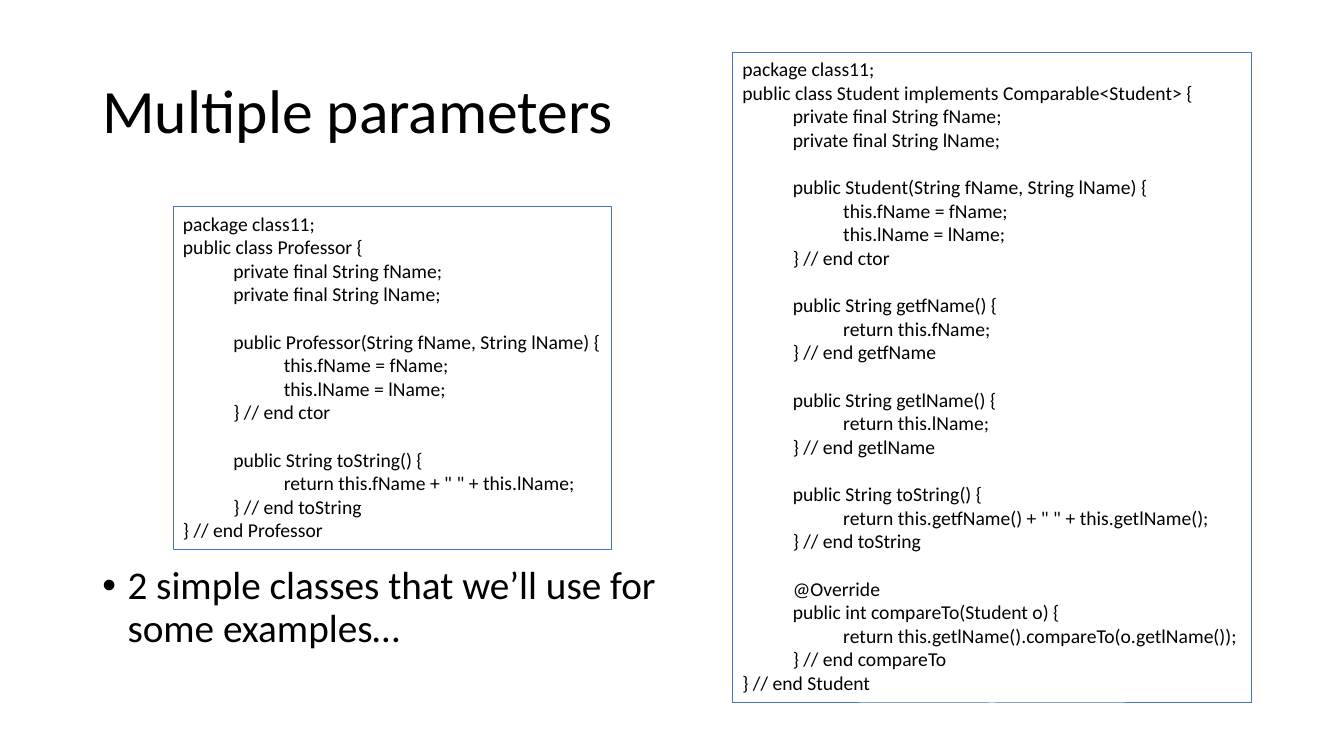
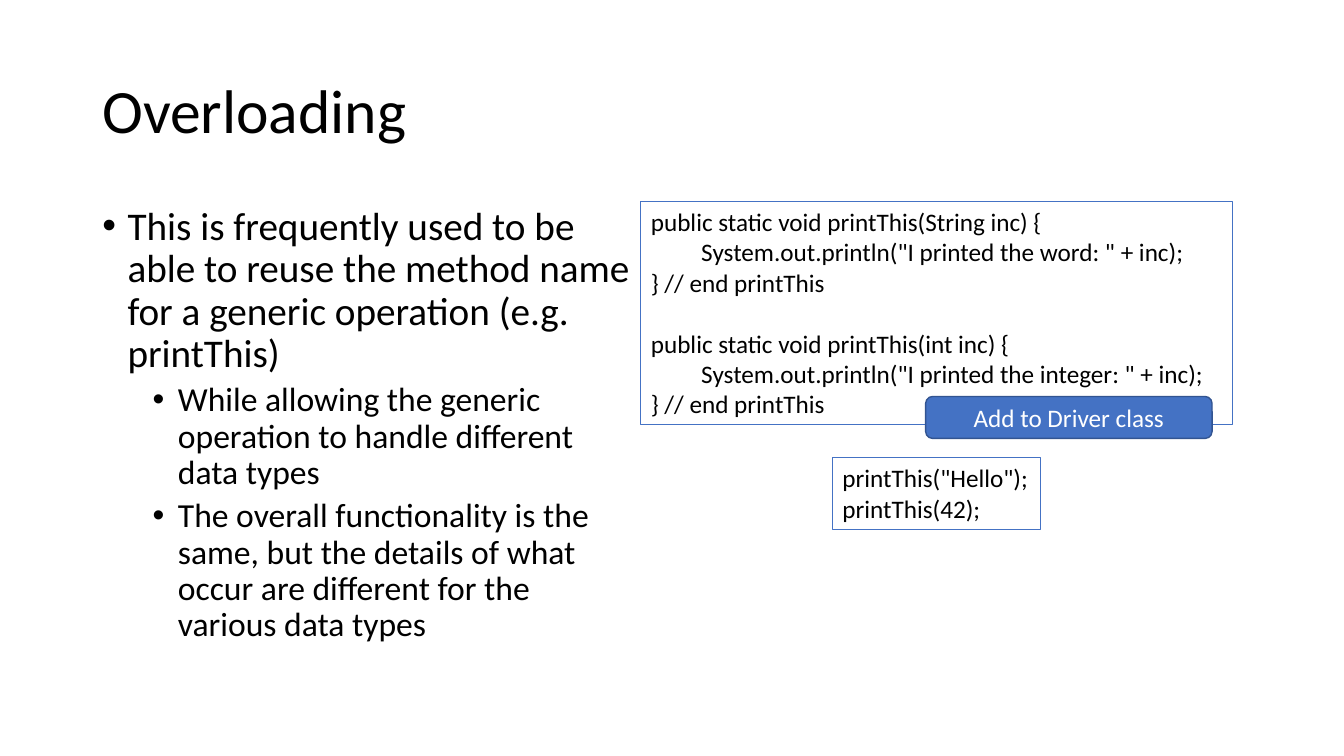
from dataclasses import dataclass

from lxml.etree import SubElement
from pptx import Presentation
from pptx.dml.color import RGBColor
from pptx.enum.shapes import MSO_SHAPE as Preset
from pptx.enum.text import MSO_ANCHOR as Anchor, MSO_AUTO_SIZE as Fit, PP_ALIGN as Align
from pptx.oxml.ns import qn
from pptx.util import Emu, Inches, Pt

# Shared look: a grid of 160 columns and 90 rows covers the slide
WIDTH, HEIGHT = Inches(13.333), Inches(7.5)
COLUMNS, ROWS = 160, 90
COLORS = {"text": "000000", "accent": "4472C4", "edge": "325491", "light": "FFFFFF"}
FONT = "Calibri"
LINE_HEIGHT = 1.22
TAB = Inches(0.5)
HANG = Inches(0.25)
BULLET_SIZES = (28, 24)
BULLET_GAPS = (10, 5)


@dataclass(frozen=True)
class Area:
    col: float
    row: float
    cols: float
    rows: float

    def box(self) -> tuple:
        x, y = WIDTH / COLUMNS, HEIGHT / ROWS
        return tuple(Emu(round(v)) for v in
                     (self.col * x, self.row * y, self.cols * x, self.rows * y))


@dataclass(frozen=True)
class Code:
    area: Area
    size: int
    source: str
    wrap: bool = True


@dataclass(frozen=True)
class Bullet:
    text: str
    level: int = 0


@dataclass(frozen=True)
class Page:
    title: str
    body: Area
    bullets: tuple
    codes: tuple
    badge: str = ""


TITLE_AREA = Area(11, 4.8, 138, 17.4)
BADGE_AREA = Area(110.2, 47.2, 34.1, 5)

# Code listings: four spaces make one level, an empty line makes a gap
STUDENT = """package class11;
public class Student implements Comparable<Student> {
    private final String fName;
    private final String lName;

    public Student(String fName, String lName) {
        this.fName = fName;
        this.lName = lName;
    } // end ctor

    public String getfName() {
        return this.fName;
    } // end getfName

    public String getlName() {
        return this.lName;
    } // end getlName

    public String toString() {
        return this.getfName() + " " + this.getlName();
    } // end toString

    @Override
    public int compareTo(Student o) {
        return this.getlName().compareTo(o.getlName());
    } // end compareTo
} // end Student"""

PROFESSOR = """package class11;
public class Professor {
    private final String fName;
    private final String lName;

    public Professor(String fName, String lName) {
        this.fName = fName;
        this.lName = lName;
    } // end ctor

    public String toString() {
        return this.fName + " " + this.lName;
    } // end toString
} // end Professor"""

OVERLOADS = """public static void printThis(String inc) {
    System.out.println("I printed the word: " + inc);
} // end printThis

public static void printThis(int inc) {
    System.out.println("I printed the integer: " + inc);
} // end printThis"""

CALLS = """printThis("Hello");
printThis(42);"""

PAGES = (
    Page("Multiple parameters", Area(11, 66.8, 75.4, 14.3),
         (Bullet("2 simple classes that we’ll use for some examples…"),),
         (Code(Area(87.2, 6.2, 61.8, 77.5), 14, STUDENT),
          Code(Area(20.6, 24.6, 52.2, 40.8), 14, PROFESSOR))),
    Page("Overloading", Area(11, 24, 65.3, 57.1),
         (Bullet("This is frequently used to be able to reuse the method name "
                 "for a generic operation (e.g. printThis)"),
          Bullet("While allowing the generic operation to handle different data types", 1),
          Bullet("The overall functionality is the same, but the details of what "
                 "occur are different for the various data types", 1)),
         (Code(Area(76.3, 24, 70.4, 26.6), 18, OVERLOADS),
          Code(Area(99.1, 54.5, 24.8, 8.5), 18, CALLS, wrap=False)),
         "Add to Driver class"),
)


def assign(target, values: dict) -> None:
    for name, value in values.items():
        setattr(target, name, value)


def color(name: str) -> RGBColor:
    return RGBColor.from_string(COLORS[name])


def write(frame, index: int, text: str, size: int, ink: str = "text", **layout):
    """Fill one paragraph; the first one already exists in the frame."""
    paragraph = frame.add_paragraph() if index else frame.paragraphs[0]
    assign(paragraph, {"alignment": Align.LEFT, **layout})
    run = paragraph.add_run()
    run.text = text
    assign(run.font, {"name": FONT, "size": Pt(size)})
    run.font.color.rgb = color(ink)
    return paragraph


def indent(paragraph, left: int, first: int) -> None:
    props = paragraph._p.get_or_add_pPr()
    props.set("marL", str(int(left)))
    props.set("indent", str(int(first)))


def add_panel(slide, preset, area: Area, edge: str, weight: float, fill: str = ""):
    panel = slide.shapes.add_shape(preset, *area.box())
    panel.shadow.inherit = False
    if fill:
        panel.fill.solid()
        panel.fill.fore_color.rgb = color(fill)
    else:
        panel.fill.background()
    panel.line.color.rgb = color(edge)
    panel.line.width = Pt(weight)
    return panel.text_frame


def add_title(slide, title: str) -> None:
    frame = slide.shapes.add_textbox(*TITLE_AREA.box()).text_frame
    assign(frame, {"word_wrap": True, "vertical_anchor": Anchor.MIDDLE})
    write(frame, 0, title, 44, line_spacing=0.9)


def add_bullets(slide, area: Area, bullets: tuple) -> None:
    frame = slide.shapes.add_textbox(*area.box()).text_frame
    frame.word_wrap = True
    for index, bullet in enumerate(bullets):
        level = bullet.level
        paragraph = write(frame, index, bullet.text, BULLET_SIZES[level], level=level,
                          line_spacing=0.9, space_before=Pt(BULLET_GAPS[level]))
        indent(paragraph, HANG + level * TAB, -HANG)
        props = paragraph._p.get_or_add_pPr()
        SubElement(props, qn("a:buFont")).set("typeface", "Arial")
        SubElement(props, qn("a:buChar")).set("char", "•")


def add_code(slide, code: Code) -> None:
    frame = add_panel(slide, Preset.RECTANGLE, code.area, "accent", 0.75)
    assign(frame, {"word_wrap": code.wrap, "vertical_anchor": Anchor.TOP,
                   "auto_size": Fit.SHAPE_TO_FIT_TEXT})
    index = gap = 0
    for line in code.source.splitlines():
        text = line.lstrip()
        if not text:
            gap = code.size * LINE_HEIGHT
            continue
        level = (len(line) - len(text)) // 4
        paragraph = write(frame, index, text, code.size, level=level, space_before=Pt(gap))
        indent(paragraph, level * TAB, 0)
        index, gap = index + 1, 0


def add_badge(slide, label: str) -> None:
    frame = add_panel(slide, Preset.ROUNDED_RECTANGLE, BADGE_AREA, "edge", 1, "accent")
    assign(frame, {"word_wrap": True, "vertical_anchor": Anchor.MIDDLE})
    write(frame, 0, label, 18, "light", alignment=Align.CENTER)


def main() -> None:
    deck = Presentation()
    assign(deck, {"slide_width": WIDTH, "slide_height": HEIGHT})
    for page in PAGES:
        slide = deck.slides.add_slide(deck.slide_layouts[6])
        add_title(slide, page.title)
        add_bullets(slide, page.body, page.bullets)
        for code in page.codes:
            add_code(slide, code)
        if page.badge:
            add_badge(slide, page.badge)
    deck.save("out.pptx")


if __name__ == "__main__":
    main()
